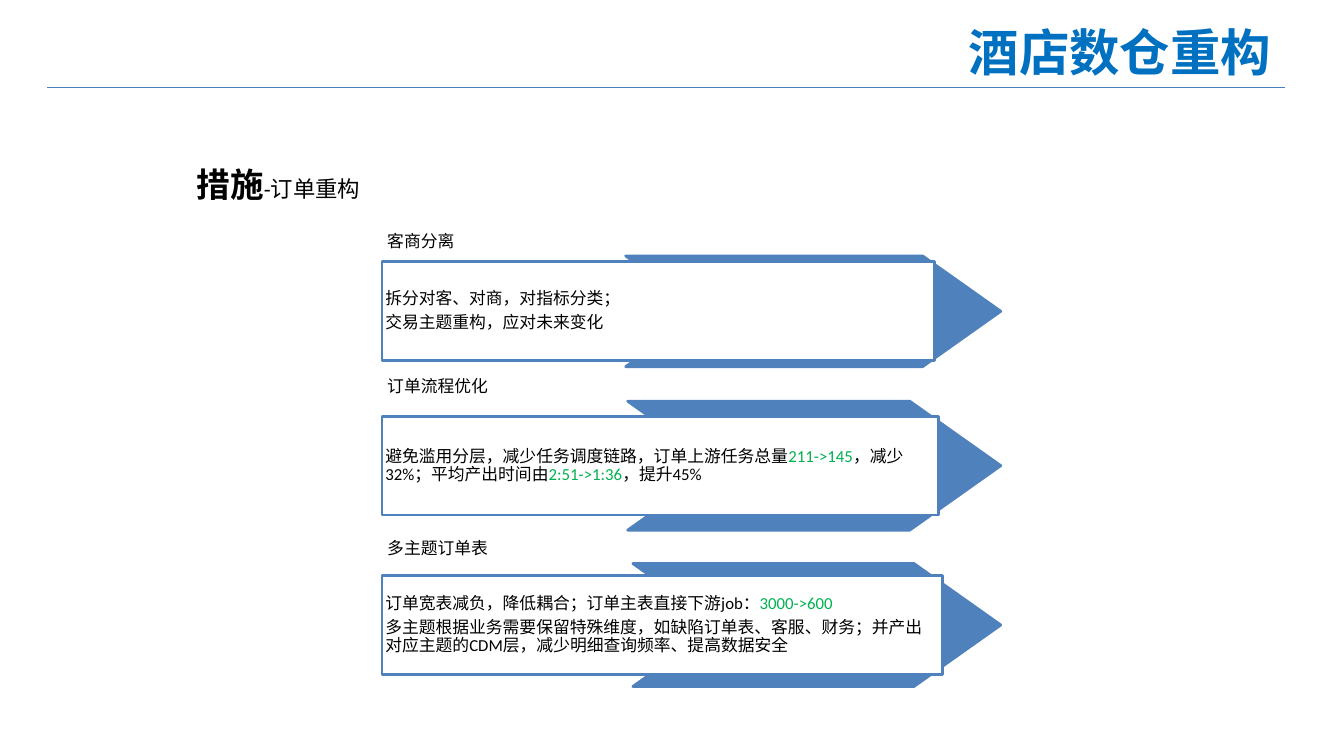
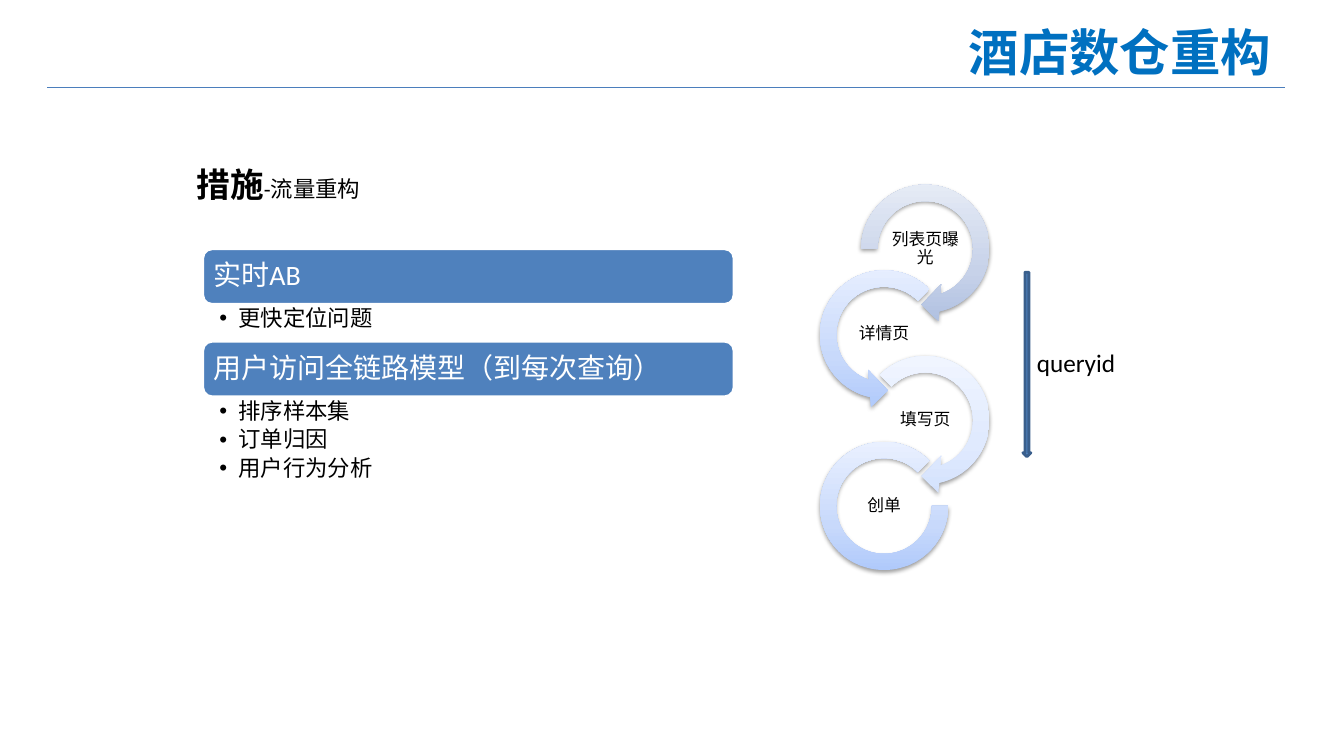
from copy import deepcopy

from lxml.etree import SubElement
from pptx import Presentation
from pptx.dml.color import RGBColor
from pptx.enum.shapes import MSO_CONNECTOR, MSO_SHAPE
from pptx.enum.text import MSO_ANCHOR as Anchor, PP_ALIGN as Align
from pptx.oxml.ns import qn
from pptx.util import Cm, Pt

COLORS = {
    "title": "0070C0",
    "rule": "4B7EBC",
    "accent": "4F81BD",
    "arrow_edge": "3A5F8C",
    "figure": "00B050",
    "black": "000000",
    "white": "FFFFFF",
}
BODY_FONT = "Calibri"
TITLE_FONT = "Noto Sans CJK SC"
DEFAULT_MARGINS = (0.25, 0.13)
GREEN = {"color": "figure"}

# label, label top, chevron left, chevron height, panel width, paragraphs
ORDER_MEASURES = [
    ("客商分离", 5.66, 15.77, 2.79, 13.92,
     ["拆分对客、对商，对指标分类；", "交易主题重构，应对未来变化"]),
    ("订单流程优化", 9.32, 15.82, 3.25, 14.02,
     [[("避免滥用分层，减少任务调度链路，订单上游任务总量", {}),
       ("211->145", GREEN),
       ("，减少32%；平均产出时间由", {}),
       ("2:51->1:36", GREEN),
       ("，提升45%", {})]]),
    ("多主题订单表", 13.41, 15.95, 3.1, 14.12,
     [[("订单宽表减负，降低耦合；订单主表直接下游job：", {}),
       ("3000->600", GREEN)],
      "多主题根据业务需要保留特殊维度，如缺陷订单表、客服、财务；"
      "并产出对应主题的CDM层，减少明细查询频率、提高数据安全"]),
]

# heading, height of the bullet list, bullets
TRAFFIC_MEASURES = [
    ("实时AB", 0.93, ["更快定位问题"]),
    ("用户访问全链路模型（到每次查询）", 2.46,
     ["排序样本集", "订单归因", "用户行为分析"]),
]

RING_SIZE = 3.76
BLUE_STOPS = ("B0CAFB", "C8D9FB", "E9F0FF")
# label, preset shape, left, size, adjustments, gradient colours
FUNNEL_STEPS = [
    ("列表页曝光", MSO_SHAPE.CIRCULAR_ARROW, 21.44, RING_SIZE,
     (0.11, 11.42, 45, 108, 0.125), ("AFC0E1", "C7D2E9", "E9EEF7")),
    ("详情页", MSO_SHAPE.LEFT_CIRCULAR_ARROW, 20.4, RING_SIZE,
     (0.11, 11.42, 63, 189, 0.125), BLUE_STOPS),
    ("填写页", MSO_SHAPE.CIRCULAR_ARROW, 21.44, RING_SIZE,
     (0.11, 11.42, 45, 135, 0.125), ("D4E2FD", "E0EAFE", "F2F6FF")),
    ("创单", MSO_SHAPE.BLOCK_ARC, 20.4, 3.23,
     (0, 189, 0.127), BLUE_STOPS),
]


def rgb(name):
    return RGBColor.from_string(COLORS[name])


def add_bullet(paragraph, indent):
    properties = paragraph._p.get_or_add_pPr()
    properties.set("marL", str(Cm(indent)))
    properties.set("indent", str(-Cm(indent)))
    SubElement(properties, qn("a:buFont"), typeface="Arial")
    SubElement(properties, qn("a:buChar"), char="•")


def write_text(shape, paragraphs, size=12, color="black", bold=False,
               font=BODY_FONT, align=Align.LEFT, anchor=Anchor.TOP,
               margins=DEFAULT_MARGINS, line_spacing=None, gap=0,
               bullet_indent=None):
    """Fill a shape; a paragraph is a string or a list of (text, changes).

    gap is the space after a paragraph as a share of the text size.
    """
    frame = shape.text_frame
    frame.word_wrap = True
    frame.vertical_anchor = anchor
    frame.margin_left = frame.margin_right = Cm(margins[0])
    frame.margin_top = frame.margin_bottom = Cm(margins[1])
    for index, content in enumerate(paragraphs):
        paragraph = frame.add_paragraph() if index else frame.paragraphs[0]
        paragraph.alignment = align
        if line_spacing:
            paragraph.line_spacing = line_spacing
        paragraph.space_after = Pt(size * gap)
        if bullet_indent:
            add_bullet(paragraph, bullet_indent)
        runs = [(content, {})] if isinstance(content, str) else content
        for text, changes in runs:
            run = paragraph.add_run()
            run.text = text
            run.font.name = font
            run.font.size = Pt(changes.get("size", size))
            run.font.bold = changes.get("bold", bold)
            run.font.color.rgb = rgb(changes.get("color", color))


def add_text(slide, left, top, width, height, paragraphs, **text_format):
    box = slide.shapes.add_textbox(Cm(left), Cm(top), Cm(width), Cm(height))
    write_text(box, paragraphs, **text_format)


def add_shape(slide, kind, left, top, width, height, fill=None, line=None,
              adjustments=()):
    shape = slide.shapes.add_shape(kind, Cm(left), Cm(top), Cm(width), Cm(height))
    shape.shadow.inherit = False
    if fill:
        shape.fill.solid()
        shape.fill.fore_color.rgb = rgb(fill)
    if line:
        shape.line.color.rgb = rgb(line)
        shape.line.width = Pt(2)
    else:
        shape.line.fill.background()
    for index, value in enumerate(adjustments):
        shape.adjustments[index] = value
    return shape


def fill_upward_gradient(shape, stops):
    fill = shape.fill
    fill.gradient()
    fill.gradient_angle = 90
    stop_list = shape._element.spPr.find(".//" + qn("a:gsLst"))
    stop_list.insert(1, deepcopy(stop_list[0]))
    for stop, position, color in zip(fill.gradient_stops, (0, 0.35, 1), stops):
        stop.position = position
        stop.color.rgb = RGBColor.from_string(color)


def add_soft_shadow(shape):
    effects = shape._element.spPr.find(qn("a:effectLst"))
    shadow = SubElement(effects, qn("a:outerShdw"), blurRad="40000", dist="20000",
                        dir="5400000", rotWithShape="0")
    color = SubElement(shadow, qn("a:srgbClr"), val=COLORS["black"])
    SubElement(color, qn("a:alpha"), val="38000")


def add_rule(slide):
    rule = slide.shapes.add_connector(
        MSO_CONNECTOR.STRAIGHT, Cm(1.19), Cm(2.21), Cm(32.39), Cm(2.21))
    rule.line.color.rgb = rgb("rule")
    rule.line.width = Pt(0.75)
    SubElement(rule._element.spPr, qn("a:effectLst"))


def add_titled_slide(presentation, topic):
    slide = presentation.slides.add_slide(presentation.slide_layouts[6])
    add_rule(slide)
    add_text(slide, 19.3, 0.41, 12.98, 1.8, ["酒店数仓重构"], size=36,
             color="title", bold=True, font=TITLE_FONT, align=Align.RIGHT)
    heading = [("措施", {"size": 24, "bold": True}), (f"-{topic}", {})]
    add_text(slide, 4.71, 4, 24.92, 1.96, [heading], size=16)
    return slide


def add_order_measure(slide, label, top, chevron_left, chevron_height,
                      panel_width, paragraphs):
    left, label_height, panel_height, chevron_right = 9.63, 0.79, 2.49, 25.22
    spacing = {"line_spacing": 0.9, "gap": 0.35}
    add_text(slide, left, top, 8.59, label_height, [label], anchor=Anchor.BOTTOM,
             margins=(0.13, 0.13), **spacing)
    chevron_top = top + label_height
    add_shape(slide, MSO_SHAPE.CHEVRON, chevron_left, chevron_top,
              chevron_right - chevron_left, chevron_height,
              fill="accent", line="accent", adjustments=[0.706])
    panel_top = chevron_top + (chevron_height - panel_height) / 2
    panel = add_shape(slide, MSO_SHAPE.RECTANGLE, left, panel_top, panel_width,
                      panel_height, fill="white", line="accent")
    write_text(panel, paragraphs, anchor=Anchor.MIDDLE, margins=(0.08, 0.08),
               **spacing)


def add_traffic_measures(slide):
    left, top, width, bar_height = 5.11, 6.27, 13.39, 1.4
    for heading, list_height, bullets in TRAFFIC_MEASURES:
        bar = add_shape(slide, MSO_SHAPE.ROUNDED_RECTANGLE, left, top, width,
                        bar_height, fill="accent", line="white")
        write_text(bar, [heading], size=20, color="white", anchor=Anchor.MIDDLE,
                   margins=(0.2, 0.2), line_spacing=0.9, gap=0.35)
        top += bar_height
        add_text(slide, left, top, width, list_height, bullets, size=16,
                 margins=(0.42, 0.08), line_spacing=0.9, gap=0.2,
                 bullet_indent=0.48)
        top += list_height


def add_funnel(slide):
    """Chain of rings, each with its label at the centre."""
    first_top, step, label_width, label_height = 4.39, 2.16, 2.11, 1.04
    for index, (label, kind, left, size, adjustments, stops) in enumerate(FUNNEL_STEPS):
        center_x = left + RING_SIZE / 2
        center_y = first_top + index * step + RING_SIZE / 2
        ring = add_shape(slide, kind, center_x - size / 2, center_y - size / 2,
                         size, size, adjustments=adjustments)
        fill_upward_gradient(ring, stops)
        add_soft_shadow(ring)
        add_text(slide, center_x - label_width / 2, center_y - label_height / 2,
                 label_width, label_height, [label], align=Align.CENTER,
                 anchor=Anchor.MIDDLE, margins=(0.03, 0.03), line_spacing=0.9,
                 gap=0.35)


def add_query_arrow(slide):
    add_shape(slide, MSO_SHAPE.DOWN_ARROW, 25.78, 6.86, 0.2, 4.65,
              fill="accent", line="arrow_edge")
    add_text(slide, 25.88, 8.61, 3.3, 1.02, ["queryid"], size=18)


def main():
    presentation = Presentation()
    presentation.slide_width = Cm(33.87)
    presentation.slide_height = Cm(19.05)

    order_slide = add_titled_slide(presentation, "订单重构")
    for measure in ORDER_MEASURES:
        add_order_measure(order_slide, *measure)

    traffic_slide = add_titled_slide(presentation, "流量重构")
    add_traffic_measures(traffic_slide)
    add_funnel(traffic_slide)
    add_query_arrow(traffic_slide)

    presentation.save("out.pptx")


if __name__ == "__main__":
    main()
